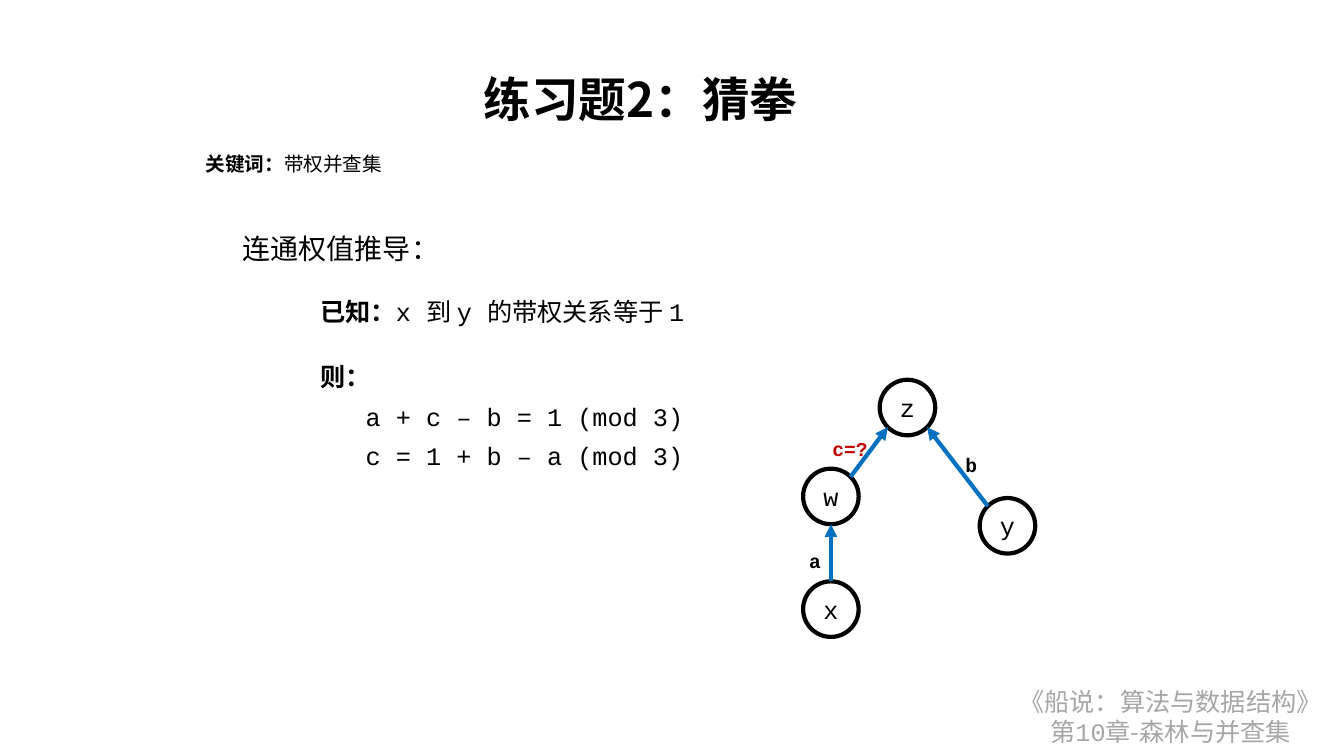
from dataclasses import dataclass
from math import hypot

from lxml import etree
from pptx import Presentation
from pptx import util as u
from pptx.dml.color import RGBColor
from pptx.enum import shapes, text
from pptx.oxml.ns import qn


@dataclass(frozen=True)
class Theme:
    black: str = "000000"
    grey: str = "A6A6A6"
    red: str = "C00000"
    blue: str = "0070C0"
    chinese: str = "Noto Sans CJK SC"
    sans: str = "Arial"
    mono: str = "Courier New"
    title: int = 34
    heading: int = 20
    body: int = 18
    small: int = 14
    stroke: int = 3
    spacing: float = 1.3


theme = Theme()
LEFT, CENTER = text.PP_ALIGN.LEFT, text.PP_ALIGN.CENTER

TITLE = [[("练习题2：猜拳", theme.chinese, True)]]
DERIVATION = [
    [("则：", theme.chinese, True)],
    [("a + c – b = 1 (mod 3)", theme.mono, False)],
    [("c = 1 + b – a (mod 3)", theme.mono, False)],
]
FORMULA_INDENT = 1.14
FOOTER = [
    [("《船说：算法与数据结构》", theme.chinese, False)],
    [("第", theme.chinese, False), ("10", theme.mono, False),
     ("章-森林与并查集", theme.chinese, False)],
]
NOTES = [
    ((4.93, 3.53, 5.0, 0.97), theme.small, False,
     [("关键词：", theme.sans, True), ("带权并查集", theme.sans, False)]),
    ((5.87, 5.46, 5.51, 1.22), theme.heading, False,
     [("连通权值推导：", theme.chinese, False)]),
    ((7.82, 7.11, 10.49, 1.19), theme.body, True,
     [("已知：", theme.mono, True), ("x 到 y 的带权关系等于 1", theme.mono, False)]),
]
NODE_SIZE = 1.4
NODES = {"x": (20.94, 15.35), "y": (25.39, 13.25), "w": (20.94, 12.51), "z": (22.87, 10.27)}
EDGES = [
    ("y", "z", (-1, -1), "b", theme.black, (24.08, 11.1, 0.81)),
    ("w", "z", (1, -1), "c=?", theme.red, (20.73, 10.72, 1.4)),
    ("x", "w", (0, -1), "a", theme.black, (20.14, 13.54, 0.81)),
]
LABEL_HEIGHT = 0.99


def place(shape, box):
    shape.left, shape.top, shape.width, shape.height = map(u.Cm, box)


def write(shape, paragraphs, size, color=theme.black, align=LEFT, spacing=1.0,
          anchor=text.MSO_ANCHOR.TOP, wrap=False):
    frame = shape.text_frame
    frame.word_wrap = wrap
    frame.vertical_anchor = anchor
    frame.auto_size = text.MSO_AUTO_SIZE.NONE
    for index, runs in enumerate(paragraphs):
        paragraph = frame.add_paragraph() if index else frame.paragraphs[0]
        paragraph.alignment = align
        paragraph.line_spacing = spacing
        paragraph.space_before = paragraph.space_after = u.Pt(0)
        for words, font, bold in runs:
            run = paragraph.add_run()
            run.text = words
            run.font.name = font
            run.font.size = u.Pt(size)
            run.font.bold = bold
            run.font.color.rgb = RGBColor.from_string(color)
            east_asian = etree.Element(qn("a:ea"), typeface=theme.chinese)
            run.font._element.find(qn("a:latin")).addnext(east_asian)
    return frame


def add_text(slide, box, paragraphs, size, **style):
    shape = slide.shapes.add_textbox(*map(u.Cm, box))
    return write(shape, paragraphs, size, **style)


def add_node(slide, name, center):
    left, top = (value - NODE_SIZE / 2 for value in center)
    node = slide.shapes.add_shape(
        shapes.MSO_SHAPE.OVAL, *map(u.Cm, (left, top, NODE_SIZE, NODE_SIZE)))
    node.shadow.inherit = False
    node.fill.background()
    node.line.color.rgb = RGBColor.from_string(theme.black)
    node.line.width = u.Pt(theme.stroke)
    write(node, [[(name, theme.mono, False)]], theme.body, align=CENTER,
          anchor=text.MSO_ANCHOR.MIDDLE)


def rim(center, direction, sign):
    reach = sign * NODE_SIZE / 2 / hypot(*direction)
    return [u.Cm(value + reach * step) for value, step in zip(center, direction)]


def add_arrow(slide, start, end, direction):
    arrow = slide.shapes.add_connector(
        shapes.MSO_CONNECTOR.STRAIGHT,
        *rim(NODES[start], direction, 1),
        *rim(NODES[end], direction, -1))
    arrow.line.color.rgb = RGBColor.from_string(theme.blue)
    arrow.line.width = u.Pt(theme.stroke)
    etree.SubElement(arrow.line._get_or_add_ln(), qn("a:tailEnd"), type="triangle")
    etree.SubElement(arrow._element.spPr, qn("a:effectLst"))


presentation = Presentation()
presentation.slide_width, presentation.slide_height = u.Cm(33.87), u.Cm(19.05)
slide = presentation.slides.add_slide(presentation.slide_layouts[1])
title, derivation = slide.placeholders

place(title, (11.94, 1.52, 10.9, 1.91))
write(title, TITLE, theme.title, anchor=text.MSO_ANCHOR.MIDDLE, wrap=True)

place(derivation, (7.82, 8.76, 10.08, 3.2))
frame = write(derivation, DERIVATION, theme.body, spacing=theme.spacing)
for index, paragraph in enumerate(frame.paragraphs):
    properties = paragraph._p.get_or_add_pPr()
    properties.set("marL", str(u.Cm(FORMULA_INDENT if index else 0)))
    properties.set("indent", "0")
    etree.SubElement(properties, qn("a:buNone"))

for box, size, wrap, runs in NOTES:
    add_text(slide, box, [runs], size, spacing=theme.spacing, wrap=wrap)

for name, center in NODES.items():
    add_node(slide, name, center)
for start, end, direction, weight, color, (left, top, width) in EDGES:
    add_arrow(slide, start, end, direction)
    add_text(slide, (left, top, width, LABEL_HEIGHT), [[(weight, theme.mono, True)]],
             theme.small, color=color, spacing=theme.spacing)

add_text(slide, (25.4, 17.17, 8.2, 1.8), FOOTER, theme.body, color=theme.grey, align=CENTER)

presentation.save("out.pptx")
